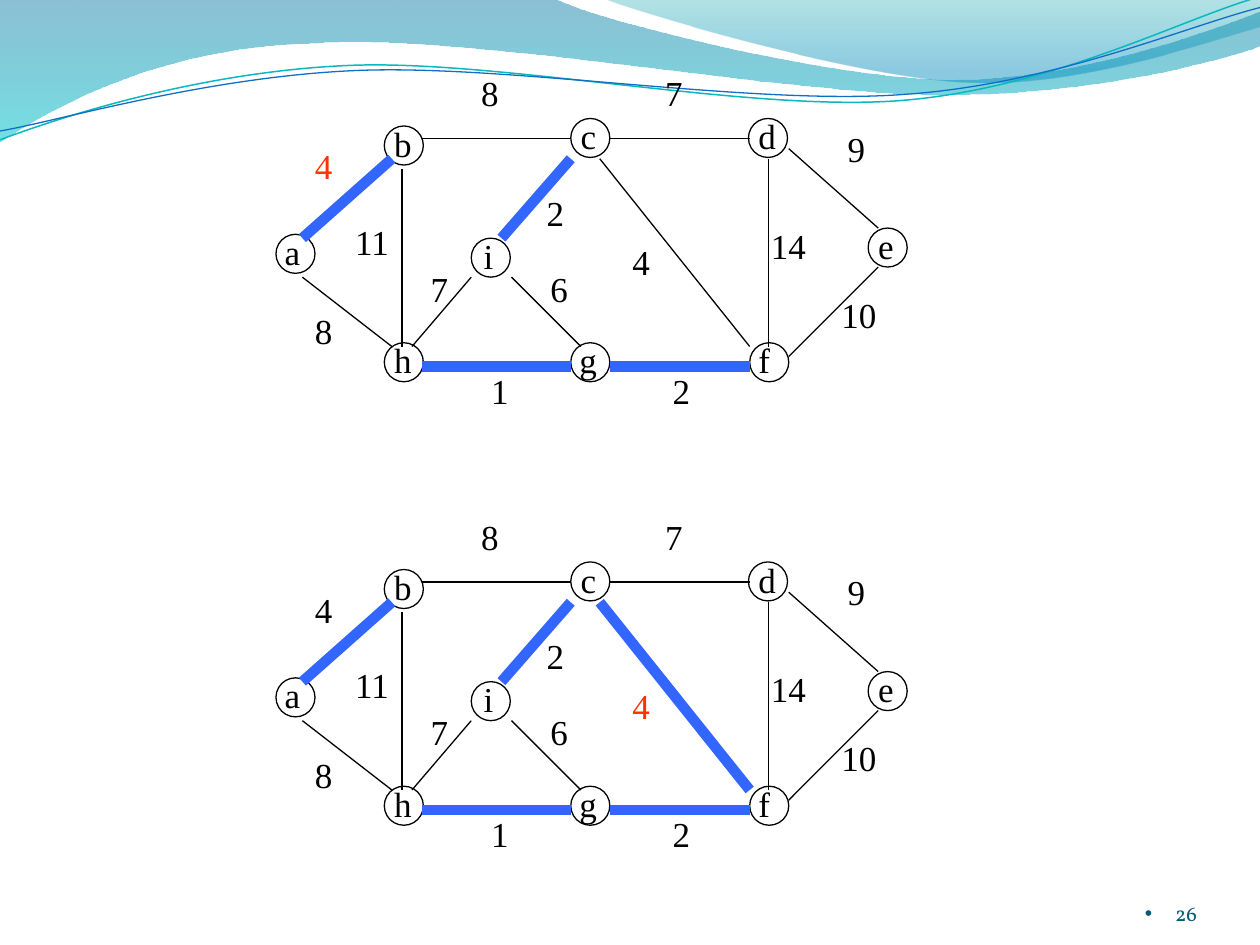
from lxml.etree import SubElement
from pptx import Presentation
from pptx.dml.color import RGBColor
from pptx.enum.shapes import MSO_CONNECTOR, MSO_SHAPE
from pptx.enum.text import MSO_ANCHOR, MSO_AUTO_SIZE, PP_ALIGN
from pptx.oxml.ns import qn
from pptx.util import Inches, Pt

COLORS = {
    "black": "000000", "tree": "3366FF", "new": "FF3300", "number": "045D75",
    "deep": "0074A1", "cyan": "00C6CF", "teal": "00A1A9", "sky": "008BBF",
    "teal line": "0AB8BF", "blue line": "0F6FC6",
}
COLORS = {name: RGBColor.from_string(value) for name, value in COLORS.items()}


def add_text(shapes, text, left, top, width, height, *, size=20, font="Times New Roman",
             color="black", align=PP_ALIGN.LEFT, anchor=MSO_ANCHOR.TOP, wrap=False, inset=True):
    """Add a one-line text box and return its paragraph."""
    box = shapes.add_textbox(Inches(left), Inches(top), Inches(width), Inches(height))
    frame = box.text_frame
    frame.word_wrap = wrap
    frame.vertical_anchor = anchor
    if inset:
        frame.auto_size = MSO_AUTO_SIZE.SHAPE_TO_FIT_TEXT
    else:
        frame.margin_left = frame.margin_right = frame.margin_top = frame.margin_bottom = 0
    paragraph = frame.paragraphs[0]
    paragraph.alignment = align
    run = paragraph.add_run()
    run.text = text
    run.font.size = Pt(size)
    run.font.name = font
    run.font.color.rgb = COLORS[color]
    return paragraph


def add_curve(shapes, start, segments, close):
    """Add a freeform of straight (2 numbers) and Bezier (6 numbers) segments."""
    builder = shapes.build_freeform(Inches(start[0]), Inches(start[1]))
    builder.add_line_segments(
        [(Inches(segment[i]), Inches(segment[i + 1]))
         for segment in segments for i in range(0, len(segment), 2)], close=close)
    shape = builder.convert_to_shape()
    lines = iter(list(shape.element.spPr.iter(qn("a:lnTo"))))
    for segment in segments:
        line = next(lines)
        if len(segment) == 6:
            line.tag = qn("a:cubicBezTo")
            for control in (next(lines), next(lines)):
                line.append(control[0])
                control.getparent().remove(control)
    return shape


presentation = Presentation()
presentation.slide_width = Inches(10)
presentation.slide_height = Inches(7.5)
slide = presentation.slides.add_slide(presentation.slide_layouts[6])

# Waves: start, segments, gradient stops (position, colour, opacity), line (colour, points)
waves = [
    ((0, 0), [(4.4, -0.01), (4.76, 0.17, 6.64, 0.63, 7.58, 0.63),
              (8.53, 0.63, 9.58, 0.26, 10, 0.09), (10.01, 0.36),
              (9.83, 0.44, 8.7, 0.76, 7.46, 0.75), (6.22, 0.75, 3.82, 0.28, 2.57, 0.34),
              (1.29, 0.36, 0.46, 0.83, -0.01, 1.13), (0, 0)],
     [(0, "deep", 45), (1, "cyan", 55)], None),
    ((4.79, -0.01), [(5.09, 0.11, 6.82, 0.62, 7.69, 0.65),
                     (8.56, 0.69, 9.61, 0.32, 10, 0.21), (10, 0), (4.79, -0.01)],
     [(0, "teal", 30), (0.8, "sky", 45)], None),
    ((0, 1.11), [(0.48, 0.93, 1.58, 0.57, 2.77, 0.52), (3.95, 0.47, 5.93, 0.89, 7.13, 0.8),
                 (8.33, 0.71, 9.38, 0.15, 9.98, -0.02)],
     None, ("teal line", 0.85)),
    ((0, 1.04), [(0.47, 0.96, 1.64, 0.61, 2.83, 0.56), (4.03, 0.51, 5.97, 0.84, 7.17, 0.75),
                 (8.36, 0.67, 9.41, 0.21, 10, 0.06)],
     None, ("blue line", 0.75)),
]
for start, segments, gradient, outline in waves:
    wave = add_curve(slide.shapes, start, segments, close=gradient is not None)
    wave.shadow.inherit = False
    if gradient:
        wave.line.fill.background()
        wave.fill.gradient()
        wave.fill.gradient_angle = 270
        for stop, (position, color, opacity) in zip(wave.fill.gradient_stops, gradient):
            stop.position = position
            stop.color.rgb = COLORS[color]
        color_elements = wave.element.spPr.iter(qn("a:srgbClr"))
        for element, (position, color, opacity) in zip(color_elements, gradient):
            SubElement(element, qn("a:alpha"), val=str(opacity * 1000))
    else:
        wave.fill.background()
        wave.line.color.rgb = COLORS[outline[0]]
        wave.line.width = Pt(outline[1])

# Nodes: letter, circle left and top, letter box width
nodes = [
    ("a", 2.19, 1.86, 0.32), ("b", 3.05, 1, 0.34), ("h", 3.05, 2.72, 0.34),
    ("c", 4.53, 0.94, 0.32), ("d", 5.94, 0.94, 0.34), ("e", 6.89, 1.81, 0.32),
    ("f", 5.95, 2.72, 0.29), ("g", 4.53, 2.72, 0.34), ("i", 3.74, 1.89, 0.28),
]
# Edges: name, begin, end, weight, weight position
edges = [
    ("ab", (2.4, 1.89), (3.11, 1.26), 4, (2.4, 1.1)),
    ("ah", (2.4, 2.2), (3.11, 2.75), 8, (2.4, 2.41)),
    ("bh", (3.19, 1.34), (3.19, 2.75), 11, (2.72, 1.7)),
    ("bc", (3.35, 1.1), (4.53, 1.1), 8, (3.72, 0.52)),
    ("hg", (3.35, 2.91), (4.53, 2.91), 1, (3.8, 2.88)),
    ("gf", (4.84, 2.91), (5.95, 2.91), 2, (5.24, 2.88)),
    ("cf", (4.76, 1.26), (5.95, 2.75), 4, (4.92, 1.86)),
    ("cd", (4.84, 1.1), (5.95, 1.1), 7, (5.18, 0.52)),
    ("df", (6.1, 1.26), (6.1, 2.75), 14, (6.02, 1.73)),
    ("de", (6.26, 1.18), (6.97, 1.81), 9, (6.63, 0.96)),
    ("fe", (6.26, 2.83), (6.97, 2.12), 10, (6.58, 2.28)),
    ("ig", (4.06, 2.2), (4.61, 2.75), 6, (4.27, 2.07)),
    ("hi", (3.27, 2.75), (3.74, 2.2), 7, (3.32, 2.07)),
    ("ic", (3.98, 1.89), (4.53, 1.26), 2, (4.24, 1.47)),
]
# Graphs: vertical offset, tree edges, edge just added
graphs = [
    (0, {"ab", "hg", "gf", "ic"}, "ab"),
    (3.52, {"ab", "hg", "gf", "ic", "cf"}, "cf"),
]
for offset, tree, newest in graphs:
    shapes = slide.shapes.add_group_shape().shapes
    for letter, left, top, width in nodes:
        indent = {"i": 0, "a": 0.03, "f": 0.03, "g": 0.03}.get(letter, 0.02)
        add_text(shapes, letter, left - indent, top + offset - 0.08, width, 0.43)
        circle = shapes.add_shape(MSO_SHAPE.OVAL, Inches(left), Inches(top + offset),
                                  Inches(0.31), Inches(0.31))
        circle.shadow.inherit = False
        circle.fill.background()
        circle.line.color.rgb = COLORS["black"]
        circle.line.width = Pt(0.75)
    for name, (x1, y1), (x2, y2), weight, position in edges:
        edge = shapes.add_connector(MSO_CONNECTOR.STRAIGHT, Inches(x1), Inches(y1 + offset),
                                    Inches(x2), Inches(y2 + offset))
        edge.line.color.rgb = COLORS["tree" if name in tree else "black"]
        edge.line.width = Pt(6 if name in tree else 0.75)
        SubElement(edge.element.spPr, qn("a:effectLst"))
    for name, begin, end, weight, (left, top) in edges:
        add_text(shapes, str(weight), left, top + offset, 0.48 if weight > 9 else 0.34, 0.44,
                 color="new" if name == newest else "black")

number = add_text(slide.shapes, "26", 8.67, 6.95, 0.83, 0.4, size=12, font="Vollkorn",
                  color="number", align=PP_ALIGN.RIGHT, anchor=MSO_ANCHOR.BOTTOM,
                  wrap=True, inset=False)
properties = number._p.get_or_add_pPr()
properties.set("marL", str(Inches(0.24)))
properties.set("indent", str(-Inches(0.24)))
SubElement(properties, qn("a:buFont"), typeface="Arial")
SubElement(properties, qn("a:buChar"), char="•")

presentation.save("out.pptx")
